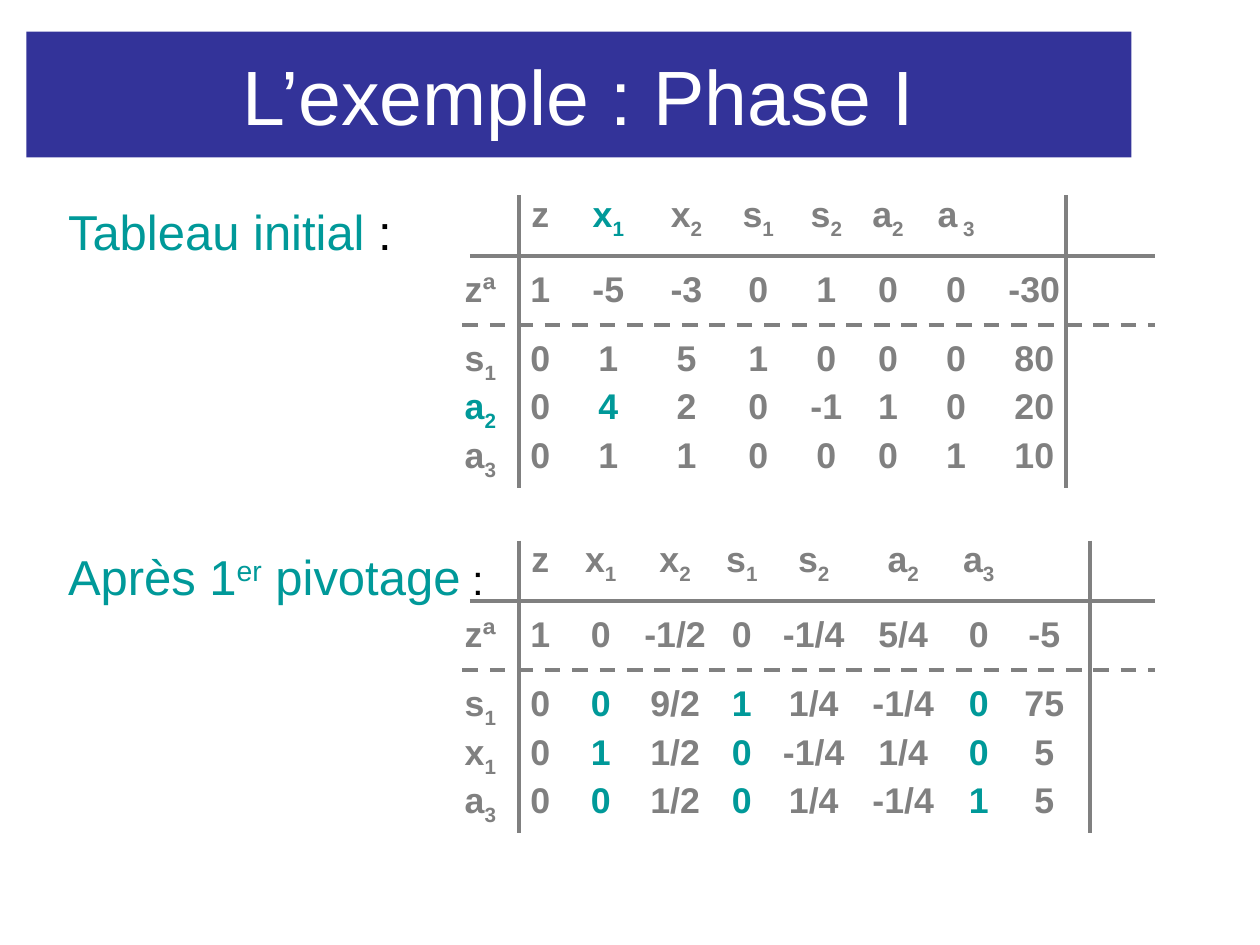
import pptx
import pptx.util
import pptx.dml.color
import pptx.enum.dml
import pptx.enum.shapes
import pptx.enum.text
import pptx.oxml.ns
import lxml.etree

COLORS = {"navy": "333399", "teal": "009999", "gray": "808080", "white": "FFFFFF", "black": "000000"}
QN = pptx.oxml.ns.qn


def write(p, text, size=20.4, color="gray", bold=False, baseline=0):
    r = p.add_run()
    r.text = text
    r.font.name = "Arial"
    r.font.size = pptx.util.Pt(size)
    r.font.bold = bold
    r.font.color.rgb = pptx.dml.color.RGBColor.from_string(COLORS[color])
    if baseline:
        r.font._element.set("baseline", str(baseline * 1000))


prs = pptx.Presentation()
prs.slide_width = pptx.util.Inches(10)
prs.slide_height = pptx.util.Inches(7.5)
COL = prs.slide_width / 100
ROW = prs.slide_height / 75
s = prs.slides.add_slide(prs.slide_layouts[3])
title, *labels = s.placeholders

title.left, title.top = int(2.1 * COL), int(2.5 * ROW)
title.width, title.height = int(87.7 * COL), int(10 * ROW)
title.fill.solid()
title.fill.fore_color.rgb = pptx.dml.color.RGBColor.from_string(COLORS["navy"])
tf = title.text_frame
tf.auto_size = pptx.enum.text.MSO_AUTO_SIZE.NONE
tf.vertical_anchor = pptx.enum.text.MSO_ANCHOR.MIDDLE
p = tf.paragraphs[0]
p.alignment = pptx.enum.text.PP_ALIGN.CENTER
write(p, "L’exemple : Phase I", size=44, color="white")

tableaux = [
    {
        "top": 14.7, "width": 59.3, "right": 84.6,
        "label": [("Tableau initial", {}), (" :", {"color": "black"})],
        "stops": [6, 11.4, 17.6, 23.3, 28.7, 33.6, 39, 45.2],
        "rows": [
            ["", "z", "*x_1", "x_2", "s_1", "s_2", "a_2", "a_ 3"],
            ["zª", "1", "-5", "-3", "0", "1", "0", "0", "-30"],
            ["s_1", "0", "1", "5", "1", "0", "0", "0", "80"],
            ["*a_2", "0", "*4", "2", "0", "-1", "1", "0", "20"],
            ["a_3", "0", "1", "1", "0", "0", "0", "1", "10"],
        ],
    },
    {
        "top": 42.1, "width": 60.6, "right": 86.5,
        "label": [("Après 1", {}), ("er", {"baseline": 30}), (" pivotage", {}),
                  (" :", {"size": 24, "color": "black"})],
        "stops": [6, 10.8, 16.7, 22, 27.7, 34.8, 40.8, 46],
        "rows": [
            ["", "z", "x_1", "x_2", "s_1", "s_2", "a_2", "a_3"],
            ["zª", "1", "0", "-1/2", "0", "-1/4", "5/4", "0", "-5"],
            ["s_1", "0", "*0", "9/2", "*1", "1/4", "-1/4", "*0", "75"],
            ["x_1", "0", "*1", "1/2", "*0", "-1/4", "1/4", "*0", "5"],
            ["a_3", "0", "*0", "1/2", "*0", "1/4", "-1/4", "*1", "5"],
        ],
    },
]

for sp, tableau in zip(labels, tableaux):
    top = tableau["top"]
    sp.left, sp.top = int(-0.6 * COL), int((top + 0.8) * ROW)
    sp.width, sp.height = int(90.2 * COL), int(23.2 * ROW)
    tf = sp.text_frame
    tf.auto_size = pptx.enum.text.MSO_AUTO_SIZE.NONE
    p = tf.paragraphs[0]
    p.space_before = pptx.util.Pt(0)
    pPr = p._p.get_or_add_pPr()
    pPr.set("marL", str(int(8.1 * COL)))
    pPr.set("indent", str(int(-3.1 * COL)))
    lxml.etree.SubElement(pPr, QN("a:buNone"))
    for text, fmt in tableau["label"]:
        write(p, text, **{"size": 28, "color": "teal", **fmt})

    box = s.shapes.add_textbox(int(35.9 * COL), int(top * ROW), int(tableau["width"] * COL), int(24 * ROW))
    tf = box.text_frame
    tf.word_wrap = True
    for i, cells in enumerate(tableau["rows"]):
        p = tf.add_paragraph() if i else tf.paragraphs[0]
        p.space_before = pptx.util.Pt(15 if i in (1, 2) else 0)
        tabs = lxml.etree.SubElement(p._p.get_or_add_pPr(), QN("a:tabLst"))
        for stop in tableau["stops"]:
            lxml.etree.SubElement(tabs, QN("a:tab"), pos=str(int(stop * COL)), algn="ctr")
        for j, cell in enumerate(cells):
            if j:
                write(p, "\t", bold=True)
            color = "teal" if cell.startswith("*") else "gray"
            name, _, index = cell.lstrip("*").partition("_")
            if name:
                write(p, name, color=color, bold=True)
            if index:
                write(p, index, color=color, bold=True, baseline=-25)

    rules = [
        (37.3, 5.6, 91.7, 5.6, False),
        (36.7, 11.1, 91.7, 11.1, True),
        (41.2, 0.8, 41.2, 24, False),
        (tableau["right"], 0.8, tableau["right"], 24, False),
    ]
    for x1, y1, x2, y2, dashed in rules:
        line = s.shapes.add_connector(
            pptx.enum.shapes.MSO_CONNECTOR.STRAIGHT,
            int(x1 * COL), int((top + y1) * ROW), int(x2 * COL), int((top + y2) * ROW))
        line.line.width = pptx.util.Pt(2.25)
        line.line.color.rgb = pptx.dml.color.RGBColor.from_string(COLORS["gray"])
        if dashed:
            line.line.dash_style = pptx.enum.dml.MSO_LINE.DASH
        lxml.etree.SubElement(line._element.spPr, QN("a:effectLst"))

prs.save("out.pptx")
